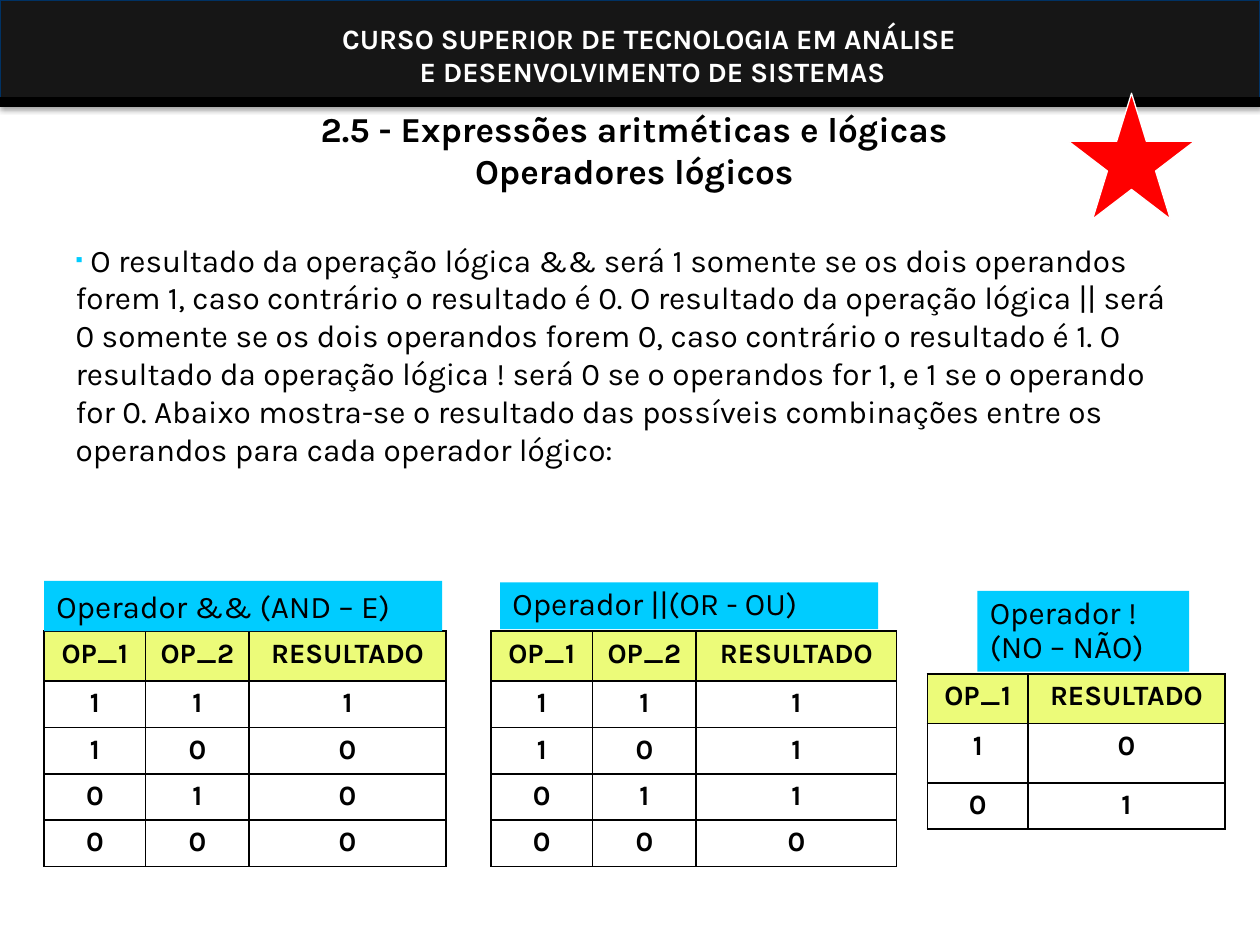
from itertools import product

from lxml import etree
from pptx import Presentation
from pptx.dml.color import RGBColor
from pptx.enum.shapes import MSO_CONNECTOR, MSO_SHAPE
from pptx.enum.text import MSO_ANCHOR, MSO_AUTO_SIZE, PP_ALIGN
from pptx.oxml import parse_xml
from pptx.oxml.ns import nsdecls, qn
from pptx.util import Pt

BLACK = RGBColor(0x00, 0x00, 0x00)
WHITE = RGBColor(0xFF, 0xFF, 0xFF)
CHARCOAL = RGBColor(0x16, 0x16, 0x16)
NAVY = RGBColor(0x00, 0x32, 0x64)
CYAN = RGBColor(0x00, 0xCC, 0xFF)
LIME = RGBColor(0xEC, 0xFB, 0x79)
RED = RGBColor(0xFF, 0x00, 0x00)

LEFT, CENTER = PP_ALIGN.LEFT, PP_ALIGN.CENTER
TOP, MIDDLE = MSO_ANCHOR.TOP, MSO_ANCHOR.MIDDLE
NO_FIT = MSO_AUTO_SIZE.NONE
RECTANGLE, STAR = MSO_SHAPE.RECTANGLE, MSO_SHAPE.STAR_5_POINT
STRAIGHT = MSO_CONNECTOR.STRAIGHT

HEADER = ["CURSO SUPERIOR DE TECNOLOGIA EM ANÁLISE ", "E DESENVOLVIMENTO DE SISTEMAS"]
TITLE = [" 2.5 - Expressões aritméticas e lógicas", " Operadores lógicos"]
BODY = (
    " O resultado da operação lógica && será 1 somente se os dois operandos forem 1, "
    "caso contrário o resultado é 0. O resultado da operação lógica || será 0 somente "
    "se os dois operandos forem 0, caso contrário o resultado é 1. O resultado da "
    "operação lógica ! será 0 se o operandos for 1, e 1 se o operando for 0. Abaixo "
    "mostra-se o resultado das possíveis combinações entre os operandos para cada "
    "operador lógico:"
)


class SlideBuilder:
    font_name = "Karla"

    def __init__(self, page):
        self.page = page

    def place(self, box, area):
        for side, value in zip(("left", "top", "width", "height"), area):
            setattr(box, side, Pt(value))

    def fill_para(self, para, lines, size, bold=False, color=BLACK, **layout):
        for key, value in layout.items():
            setattr(para, key, value)
        for number, line in enumerate(lines):
            if number:
                para.add_line_break()
            span = para.add_run()
            span.text = line
            style = {"name": self.font_name, "size": Pt(size), "bold": bold}
            for key, value in style.items():
                setattr(span.font, key, value)
            span.font.color.rgb = color

    def frame(self, box, anchor=TOP):
        frame = box.text_frame
        settings = {"word_wrap": True, "auto_size": NO_FIT, "vertical_anchor": anchor}
        for key, value in settings.items():
            setattr(frame, key, value)
        return frame

    def paragraphs(self, box, lines, size, **layout):
        frame = self.frame(box)
        for number, line in enumerate(lines):
            para = frame.add_paragraph() if number else frame.paragraphs[0]
            self.fill_para(para, [line], size, **layout)

    def title(self, lines, area):
        box = self.page.shapes.title
        self.place(box, area)
        para = self.frame(box, MIDDLE).paragraphs[0]
        self.fill_para(para, lines, 20, bold=True, alignment=CENTER)

    def body(self, text, area):
        box = self.page.placeholders[1]
        self.place(box, area)
        para = self.frame(box).paragraphs[0]
        self.fill_para(para, [text], 18, alignment=LEFT, space_before=Pt(2))
        props = para._p.get_or_add_pPr()
        props.set("marL", "0")
        props.set("indent", "0")
        color = etree.SubElement(props, qn("a:buClr"))
        etree.SubElement(color, qn("a:srgbClr"), val=str(CYAN))
        etree.SubElement(props, qn("a:buSzPct"), val="65000")
        etree.SubElement(props, qn("a:buFont"), typeface="Arial")
        etree.SubElement(props, qn("a:buChar"), char="▪")

    def shape(self, kind, area, fill, line=None):
        box = self.page.shapes.add_shape(kind, *map(Pt, area))
        box.shadow.inherit = False
        box.fill.solid()
        box.fill.fore_color.rgb = fill
        if line is None:
            box.line.fill.background()
        else:
            box.line.color.rgb = line
            box.line.width = Pt(0.75)
        return box

    def band(self, area):
        box = self.shape(RECTANGLE, area, CHARCOAL, NAVY)
        effects = box._element.spPr.find(qn("a:effectLst"))
        effects.append(parse_xml(
            f'<a:outerShdw {nsdecls("a")} blurRad="{Pt(3.1)}" dist="{Pt(1.8)}" '
            f'dir="5400000"><a:srgbClr val="{BLACK}"><a:alpha val="35000"/>'
            '</a:srgbClr></a:outerShdw>'))

    def rule(self, start, end, width):
        line = self.page.shapes.add_connector(STRAIGHT, *map(Pt, start + end))
        line.line.color.rgb = BLACK
        line.line.width = Pt(width)
        etree.SubElement(line._element.spPr, qn("a:effectLst"))

    def heading(self, lines, area):
        box = self.page.shapes.add_textbox(*map(Pt, area))
        self.paragraphs(box, lines, 16, bold=True, color=WHITE, alignment=CENTER)

    def label(self, lines, area, spacing):
        box = self.shape(RECTANGLE, area, CYAN)
        self.paragraphs(box, lines, 18, alignment=LEFT, line_spacing=spacing)

    def borders(self, cell):
        props = cell._tc.get_or_add_tcPr()
        for side in ("lnL", "lnR", "lnT", "lnB"):
            props.append(parse_xml(
                f'<a:{side} {nsdecls("a")} w="{Pt(1)}"><a:solidFill>'
                f'<a:srgbClr val="{BLACK}"/></a:solidFill></a:{side}>'))

    def truth_table(self, records, left, top, widths, heights):
        holder = self.page.shapes.add_table(
            len(heights), len(widths), Pt(left), Pt(top), Pt(sum(widths)), Pt(sum(heights)))
        table = holder.table
        table.first_row = table.horz_banding = False
        for column, width in zip(table.columns, widths):
            column.width = Pt(width)
        for row, height in zip(table.rows, heights):
            row.height = Pt(height)
        for r, c in product(range(len(heights)), range(len(widths))):
            cell = table.cell(r, c)
            self.borders(cell)
            if r == 0:
                cell.fill.solid()
                cell.fill.fore_color.rgb = LIME
            else:
                cell.fill.background()
            self.fill_para(cell.text_frame.paragraphs[0], [str(records[r][c])], 16,
                           bold=True, alignment=CENTER)


def main():
    deck = Presentation()
    deck.slide_width, deck.slide_height = Pt(720), Pt(540)
    builder = SlideBuilder(deck.slides.add_slide(deck.slide_layouts[1]))

    builder.band((0, 0, 720, 60.5))
    builder.heading(HEADER, (93.6, 8.6, 558.7, 46))
    builder.rule((0, 58.3), (720, 58.3), 6)
    builder.title(TITLE, (36, 31.7, 648, 108))
    builder.body(BODY, (36, 133.9, 646.6, 362.9))

    pairs = list(product((1, 0), repeat=2))
    and_rows = [("OP_1", "OP_2", "RESULTADO")] + [(a, b, a & b) for a, b in pairs]
    or_rows = and_rows[:1] + [(a, b, a | b) for a, b in pairs]
    not_rows = [("OP_1", "RESULTADO")] + [(a, 1 - a) for a in (1, 0)]
    heights = [28.5] + [26.5] * 4
    builder.truth_table(and_rows, 25.2, 360.7, (58, 59.2, 112.4), heights)
    builder.truth_table(or_rows, 280.6, 360.7, (58, 59.2, 114.6), heights)
    builder.label(["Operador && (AND – E)"], (25.2, 331.9, 227.5, 28.8), 1.0)
    builder.label(["Operador ||(OR - OU)"], (285.8, 332.8, 216, 26.8), 0.9)
    builder.label(["Operador !", "(NO – NÃO)"], (558.5, 337.7, 121, 46.1), 0.9)
    builder.truth_table(not_rows, 529.9, 385.2, (57.6, 112.4), (28.3, 33.9, 26.5))
    builder.shape(STAR, (610.6, 53.3, 72, 72), RED, WHITE)

    deck.save("out.pptx")


if __name__ == "__main__":
    main()
